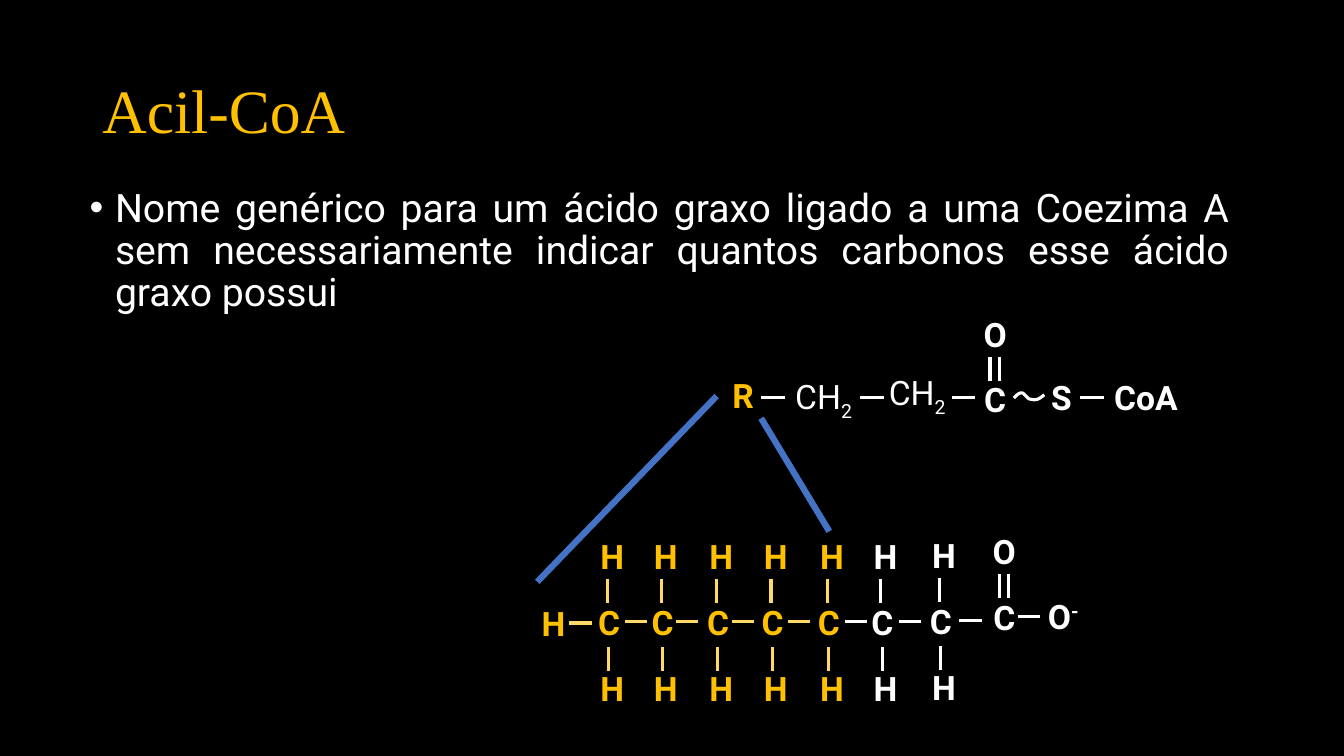
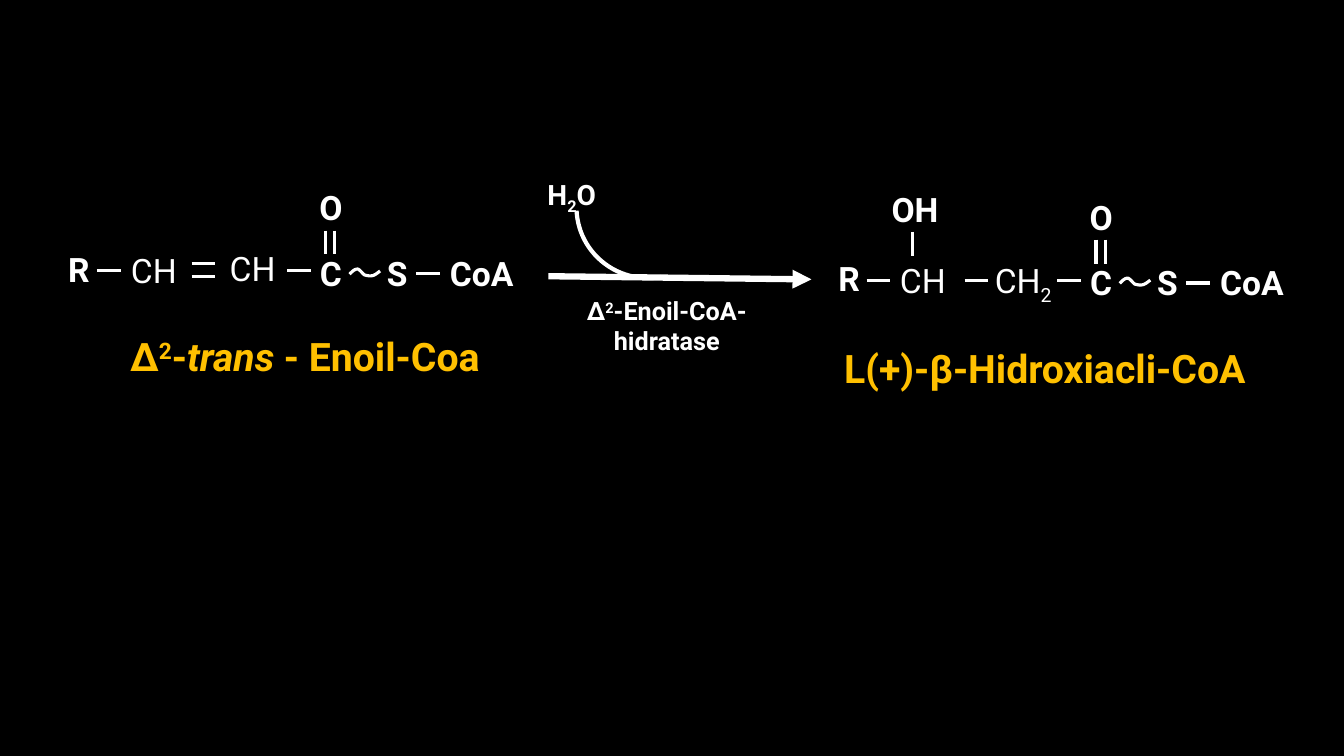
from dataclasses import dataclass
from typing import Optional, Sequence, Union

from lxml import etree
from pptx import Presentation
from pptx import util as u
from pptx.dml import color as dml
from pptx.enum import shapes, text
from pptx.oxml import ns


# Theme: colours, fonts, type sizes (points), line widths (points)
@dataclass(frozen=True)
class Theme:
    background: str = "000000"
    white: str = "FFFFFF"
    amber: str = "FFC000"
    pale_amber: str = "FFD966"
    blue: str = "4472C4"
    title_font: str = "Times New Roman"
    body_font: str = "Roboto"
    title_size: int = 44
    body_size: int = 28
    atom_size: int = 24
    water_size: int = 20
    enzyme_size: int = 18
    bond_width: float = 2.25
    arc_width: float = 3
    heavy_width: float = 4.5


THEME = Theme()
ALIGN = text.PP_ALIGN
ATOM_HEIGHT = 1.27
BOND_LENGTH = 0.6
CHAIN_BOND_LENGTH = 0.56
ATOM_WIDTHS = {"H": 0.94, "C": 1.3, "R": 1.3, "O": 1.5, "S": 1.73, "OH": 1.88, "CoA": 2.59}
# Bezier control points of the energy-rich bond, in cm from the carbonyl carbon
WAVE = [(0.47, 0.03), (0.55, -0.05), (0.6, -0.1), (0.67, -0.1), (0.72, -0.1),
        (0.8, 0.02), (0.85, 0.05), (0.93, 0.07), (0.98, 0.08), (1.03, 0.07),
        (1.11, 0.06), (1.17, 0), (1.24, -0.05)]


@dataclass(frozen=True)
class Run:
    text: str
    baseline: int = 0
    italic: bool = False


@dataclass(frozen=True)
class Carbon:
    x: float
    bond_x: float
    in_radical: bool = True
    rise: float = 0


CHAIN_Y = 15.67
CHAIN = [
    Carbon(15.35, 15.75), Carbon(16.7, 17.04), Carbon(18.1, 18.44),
    Carbon(19.47, 19.86), Carbon(20.89, 21.29),
    Carbon(22.24, 22.66, in_radical=False),
    Carbon(23.71, 24.18, in_radical=False, rise=0.03),
]
CH = [Run("CH")]
CH2 = [Run("CH"), Run("2", -25)]


# Basic drawing; all lengths are in cm
def add_text(slide, content: Union[str, Sequence[Run]], left: float, top: float,
             width: float, height: float, *, size: int = THEME.atom_size,
             color: str = THEME.white, font: str = THEME.body_font,
             bold: bool = False, align=ALIGN.CENTER, wrap: bool = True,
             grow: bool = True, anchor=text.MSO_ANCHOR.TOP,
             line_spacing: Optional[float] = None, bullet: bool = False) -> None:
    box = slide.shapes.add_textbox(u.Cm(left), u.Cm(top), u.Cm(width), u.Cm(height))
    frame = box.text_frame
    frame.word_wrap = wrap
    frame.vertical_anchor = anchor
    frame.auto_size = (text.MSO_AUTO_SIZE.SHAPE_TO_FIT_TEXT if grow
                       else text.MSO_AUTO_SIZE.NONE)
    paragraph = frame.paragraphs[0]
    paragraph.alignment = align
    if line_spacing:
        paragraph.line_spacing = line_spacing
    if bullet:
        properties = paragraph._p.get_or_add_pPr()
        properties.set("marL", str(u.Cm(0.64)))
        properties.set("indent", str(-u.Cm(0.64)))
        etree.SubElement(properties, ns.qn("a:buFont")).set("typeface", "Arial")
        etree.SubElement(properties, ns.qn("a:buChar")).set("char", "•")
    for part in [Run(content)] if isinstance(content, str) else content:
        run = paragraph.add_run()
        run.text = part.text
        run.font.name = font
        run.font.size = u.Pt(size)
        run.font.bold = bold
        run.font.italic = part.italic
        run.font.color.rgb = dml.RGBColor.from_string(color)
        if part.baseline:
            run.font._element.set("baseline", str(part.baseline * 1000))


def style_line(shape, color: str, width: float) -> None:
    shape.line.color.rgb = dml.RGBColor.from_string(color)
    shape.line.width = u.Pt(width)


def add_line(slide, x1: float, y1: float, x2: float, y2: float, *,
             color: str = THEME.white, width: float = THEME.bond_width,
             arrow: bool = False) -> None:
    line = slide.shapes.add_connector(shapes.MSO_CONNECTOR.STRAIGHT,
                                      u.Cm(x1), u.Cm(y1), u.Cm(x2), u.Cm(y2))
    style_line(line, color, width)
    properties = line._element.spPr
    if arrow:
        outline = properties.find(ns.qn("a:ln"))
        etree.SubElement(outline, ns.qn("a:tailEnd")).set("type", "triangle")
    etree.SubElement(properties, ns.qn("a:effectLst"))


# Chemical parts
def add_bond(slide, x: float, y: float, length: float = BOND_LENGTH,
             color: str = THEME.white) -> None:
    add_line(slide, x, y, x + length, y, color=color)


def add_upright_bond(slide, x: float, y: float, color: str = THEME.white) -> None:
    add_line(slide, x, y, x, y + BOND_LENGTH, color=color)


def add_atom(slide, symbol: str, x: float, y: float, color: str = THEME.white) -> None:
    width = ATOM_WIDTHS[symbol]
    add_text(slide, symbol, x - width / 2, y - ATOM_HEIGHT / 2, width, ATOM_HEIGHT,
             color=color, bold=True)


def add_methyl(slide, formula: Sequence[Run], left: float, top: float) -> None:
    width = 2.01 if formula is CH2 else 1.73
    add_text(slide, formula, left, top, width, ATOM_HEIGHT, align=ALIGN.LEFT, wrap=False)


def add_wave(slide, x: float, y: float, steps: int = 8) -> None:
    points = [WAVE[0]]
    for start in range(0, len(WAVE) - 1, 3):
        controls = WAVE[start:start + 4]
        for step in range(1, steps + 1):
            t = step / steps
            weights = ((1 - t) ** 3, 3 * t * (1 - t) ** 2, 3 * t * t * (1 - t), t ** 3)
            points.append(tuple(sum(w * c[axis] for w, c in zip(weights, controls))
                                for axis in (0, 1)))
    places = [(u.Cm(x + dx), u.Cm(y + dy)) for dx, dy in points]
    builder = slide.shapes.build_freeform(*places[0])
    builder.add_line_segments(places[1:], close=False)
    wave = builder.convert_to_shape()
    wave.shadow.inherit = False
    wave.fill.background()
    style_line(wave, THEME.white, THEME.bond_width)


def add_carbonyl(slide, x: float, y: float) -> None:
    add_atom(slide, "C", x, y)
    add_atom(slide, "O", x, y - 1.65)
    for offset in (-0.13, 0.1):
        add_upright_bond(slide, x + offset, y - 1.07)


def add_thioester(slide, x: float, y: float, rise: float = 0) -> None:
    add_carbonyl(slide, x, y)
    level = y - rise
    add_wave(slide, x, level)
    add_atom(slide, "S", x + 1.67, level)
    add_bond(slide, x + 2.15, level + 0.02)
    add_atom(slide, "CoA", x + 3.8, level)


def add_chain(slide) -> None:
    add_atom(slide, "H", 13.87, CHAIN_Y + 0.03, THEME.amber)
    add_bond(slide, 14.35, CHAIN_Y + 0.03, CHAIN_BOND_LENGTH, THEME.pale_amber)
    for index, carbon in enumerate(CHAIN):
        y = CHAIN_Y - carbon.rise
        atom_color = THEME.amber if carbon.in_radical else THEME.white
        bond_color = THEME.pale_amber if carbon.in_radical else THEME.white
        add_atom(slide, "C", carbon.x, y, atom_color)
        for offset in (-1.65, 1.68):
            add_atom(slide, "H", carbon.x, y + offset, atom_color)
        add_upright_bond(slide, carbon.x - 0.04, y - 1.07, bond_color)
        add_upright_bond(slide, carbon.x - 0.01, y + 0.64, bond_color)
        joins_radical = index + 1 < len(CHAIN) and CHAIN[index + 1].in_radical
        add_bond(slide, carbon.bond_x, y, CHAIN_BOND_LENGTH,
                 THEME.pale_amber if joins_radical else THEME.white)
    add_carbonyl(slide, 25.31, 15.54)
    add_bond(slide, 25.65, 15.54, CHAIN_BOND_LENGTH)
    add_text(slide, [Run("O"), Run("-", 30)], 25.93, 14.88, 1.73, ATOM_HEIGHT, bold=True)


def add_caption(slide, content: Union[str, Sequence[Run]], left: float, top: float,
                width: float, height: float) -> None:
    add_text(slide, content, left, top, width, height, size=THEME.body_size,
             color=THEME.amber, bold=True, grow=False, line_spacing=0.9)


# Slides
def build_acyl_slide(slide) -> None:
    add_text(slide, "Acil-CoA", 2.33, 1.01, 29.21, 3.68, size=THEME.title_size,
             color=THEME.amber, font=THEME.title_font, align=ALIGN.LEFT, grow=False,
             anchor=text.MSO_ANCHOR.MIDDLE, line_spacing=0.9)
    add_text(slide, "Nome genérico para um ácido graxo ligado a uma Coezima A sem "
             "necessariamente indicar quantos carbonos esse ácido graxo possui",
             2.01, 4.62, 29.21, 3.28, size=THEME.body_size, align=ALIGN.JUSTIFY,
             grow=False, line_spacing=0.9, bullet=True)
    # Generic acyl-CoA
    add_atom(slide, "R", 18.73, 9.96, THEME.amber)
    for x in (19.18, 21.67, 23.98):
        add_bond(slide, x, 10.01)
    add_methyl(slide, CH2, 19.79, 9.35)
    add_methyl(slide, CH2, 22.15, 9.25)
    add_thioester(slide, 25.08, 10.06, rise=0.06)
    # Radical expanded into the fatty acid
    add_chain(slide)
    for ends in ((18.06, 9.98, 13.54, 14.66), (19.18, 10.54, 20.9, 13.39)):
        add_line(slide, *ends, color=THEME.blue, width=THEME.heavy_width)


def build_hydration_slide(slide) -> None:
    # Substrate
    add_atom(slide, "R", 1.99, 6.78)
    for x, y in ((2.44, 6.81), (4.83, 6.63), (4.83, 6.96), (7.24, 6.81)):
        add_bond(slide, x, y)
    add_methyl(slide, CH, 3.05, 6.17)
    add_methyl(slide, CH, 5.54, 6.12)
    add_thioester(slide, 8.34, 6.88)
    add_caption(slide, [Run("Δ"), Run("2", 30), Run("-"), Run("trans ", italic=True),
                        Run("- Enoil-Coa")], 2.11, 8.38, 11.15, 1.47)
    # Reaction arrow with incoming water
    add_line(slide, 13.82, 6.96, 20.45, 7.04, width=THEME.heavy_width, arrow=True)
    add_text(slide, [Run("H"), Run("2", -25), Run("O")], 12.9, 4.34, 3.02, 1.12,
             size=THEME.water_size, bold=True)
    arc = slide.shapes.add_shape(shapes.MSO_SHAPE.ARC, u.Cm(14.53), u.Cm(3.45),
                                 u.Cm(3.61), u.Cm(3.56))
    arc.shadow.inherit = False
    arc.fill.background()
    for index, degrees in enumerate((79.5, 177.4)):
        arc.adjustments[index] = degrees * 0.6
    style_line(arc, THEME.white, THEME.arc_width)
    add_text(slide, [Run("Δ"), Run("2", 30), Run("-Enoil-CoA-hidratase")],
             14.38, 7.32, 4.85, 1.8, size=THEME.enzyme_size, bold=True)
    # Product
    add_atom(slide, "R", 21.4, 7.01)
    for x in (21.84, 24.31, 26.64):
        add_bond(slide, x, 7.06)
    add_methyl(slide, CH, 22.43, 6.43)
    add_methyl(slide, CH2, 24.82, 6.43)
    add_atom(slide, "OH", 23.06, 5.26)
    add_upright_bond(slide, 22.99, 5.84)
    add_thioester(slide, 27.75, 7.11)
    add_caption(slide, "L(+)-β-Hidroxiacli-CoA", 20.45, 8.69, 11.76, 1.7)


def main() -> None:
    presentation = Presentation()
    presentation.slide_width = u.Cm(33.87)
    presentation.slide_height = u.Cm(19.05)
    backdrop = presentation.slide_master.background.fill
    backdrop.solid()
    backdrop.fore_color.rgb = dml.RGBColor.from_string(THEME.background)
    for build in (build_acyl_slide, build_hydration_slide):
        build(presentation.slides.add_slide(presentation.slide_layouts[6]))
    presentation.save("out.pptx")


if __name__ == "__main__":
    main()
